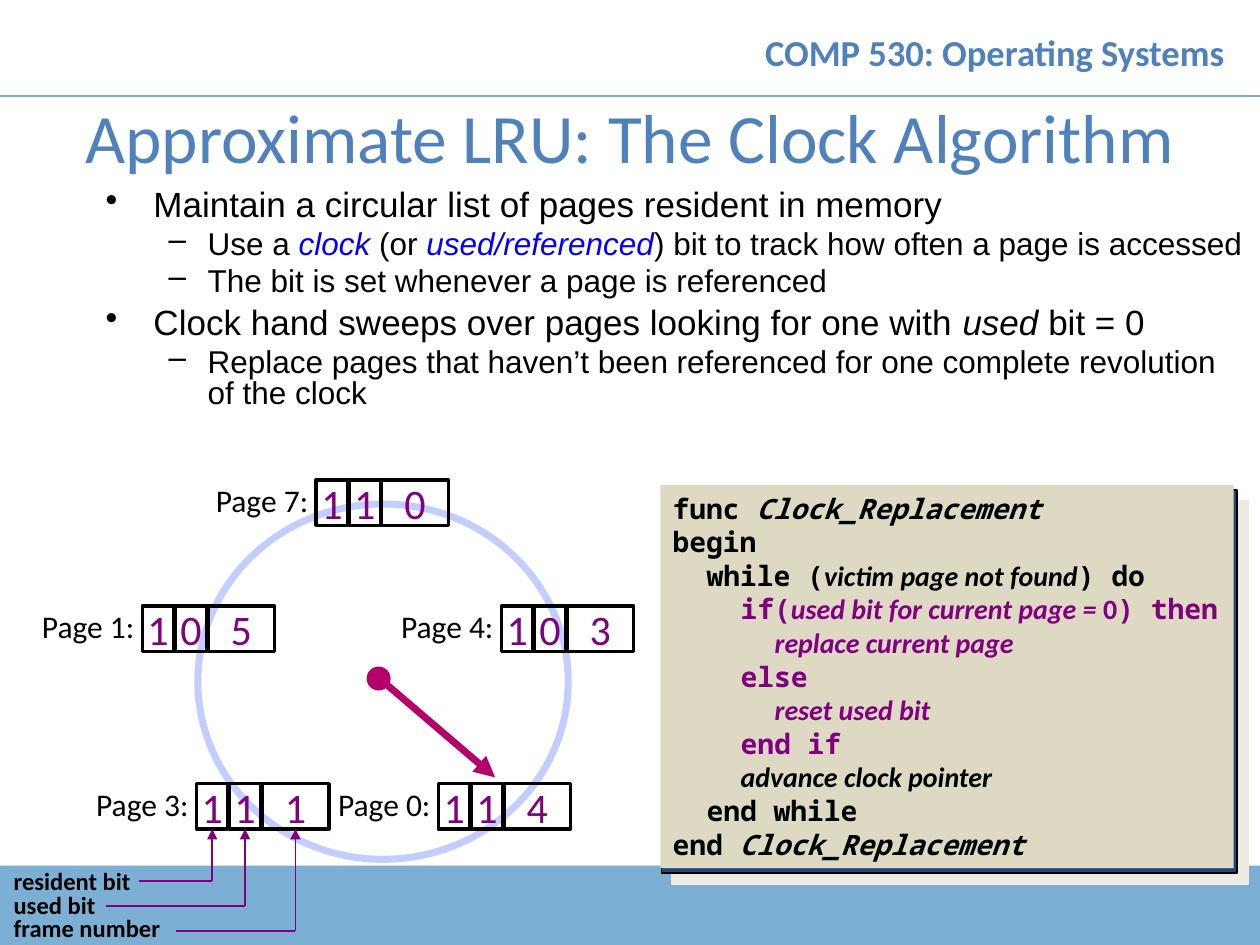
import dataclasses

import pptx
import pptx.dml.color
import pptx.enum.shapes
import pptx.enum.text
import pptx.oxml
import pptx.oxml.ns
import pptx.util

SHAPES = pptx.enum.shapes.MSO_SHAPE
ALIGN = pptx.enum.text.PP_ALIGN
ANCHOR = pptx.enum.text.MSO_ANCHOR
COLUMNS, ROWS = 100, 75
SANS, MONO, BODY = "Calibri", "Noto Sans Mono", "Arial"
BLACK, BLUE, SKY, PURPLE, MAGENTA = "000000", "4F81BD", "7BAFD4", "800080", "B50069"

deck = pptx.Presentation()
deck.slide_width = pptx.util.Inches(10)
deck.slide_height = pptx.util.Inches(7.5)
slide = deck.slides.add_slide(deck.slide_layouts[5])


@dataclasses.dataclass
class Box:
    x: float
    y: float
    w: float
    h: float

    def within(self, dx, dy, w, h):
        return Box(self.x + dx, self.y + dy, w, h)

    def emu(self):
        return (*at(self.x, self.y), *at(self.w, self.h))


def at(column, row):
    return int(deck.slide_width * column / COLUMNS), int(deck.slide_height * row / ROWS)


def rgb(value):
    return pptx.dml.color.RGBColor.from_string(value)


def style(run, size, font, color=BLACK, bold=False, italic=False):
    run.font.size = pptx.util.Pt(size)
    run.font.name = font
    run.font.color.rgb = rgb(color)
    run.font.bold = bold
    run.font.italic = italic


def add_text(paragraph, text, *look, **emphasis):
    run = paragraph.add_run()
    run.text = text
    style(run, *look, **emphasis)


def indent(paragraph, left, hanging=0, bullet=None):
    props = paragraph._p.get_or_add_pPr()
    props.set("marL", str(pptx.util.Inches(left)))
    props.set("indent", str(-pptx.util.Inches(hanging)))
    if bullet:
        mark = pptx.oxml.parse_xml(
            f'<a:buChar {pptx.oxml.ns.nsdecls("a")} char="{bullet}"/>')
        props.append(mark)


def paragraphs(frame, count):
    return [frame.paragraphs[0]] + [frame.add_paragraph() for _ in range(count - 1)]


def text_box(box, wrap=True):
    frame = slide.shapes.add_textbox(*box.emu()).text_frame
    frame.word_wrap = wrap
    return frame


def shape(kind, box, fill=None, line=None, width=1, shadow=None):
    item = slide.shapes.add_shape(kind, *box.emu())
    item.shadow.inherit = False
    if fill:
        item.fill.solid()
        item.fill.fore_color.rgb = rgb(fill)
    else:
        item.fill.background()
    if line:
        item.line.color.rgb = rgb(line)
        item.line.width = pptx.util.Pt(width)
    else:
        item.line.fill.background()
    if shadow:
        color, opacity, blur, distance, angle = shadow
        effects = item._element.spPr.find(pptx.oxml.ns.qn("a:effectLst"))
        effects.append(pptx.oxml.parse_xml(
            f'<a:outerShdw {pptx.oxml.ns.nsdecls("a")} blurRad="{pptx.util.Pt(blur)}" '
            f'dist="{pptx.util.Pt(distance)}" dir="{angle * 60000}" algn="ctr" rotWithShape="0">'
            f'<a:srgbClr val="{color}"><a:alpha val="{opacity * 1000}"/></a:srgbClr>'
            '</a:outerShdw>'))
    return item


def line(start, end, color, width=1, arrow=None):
    item = slide.shapes.add_connector(
        pptx.enum.shapes.MSO_CONNECTOR.STRAIGHT, *at(*start), *at(*end))
    item.line.color.rgb = rgb(color)
    item.line.width = pptx.util.Pt(width)
    if arrow:
        item.line._get_or_add_ln().append(pptx.oxml.parse_xml(
            f'<a:{arrow} {pptx.oxml.ns.nsdecls("a")} type="triangle"/>'))
    item._element.spPr.append(pptx.oxml.parse_xml(
        f'<a:effectLst {pptx.oxml.ns.nsdecls("a")}/>'))
    return item


def course_frame(box):
    shape(SHAPES.RECTANGLE, box.within(0, 68.7, box.w, 6.3), SKY,
          shadow=(BLACK, 35, 3.1, 1.8, 90))
    line((box.x, box.y + 7.6), (box.x + box.w, box.y + 7.6), SKY)
    frame = text_box(box.within(57.9, 1.3, 42.1, 6.3))
    frame.vertical_anchor = ANCHOR.MIDDLE
    course = frame.paragraphs[0]
    course.text = "COMP 530: Operating Systems"
    course.alignment = ALIGN.CENTER
    course.line_spacing = 0.8
    style(course.runs[0], 20.9, SANS, BLUE, bold=True)


def heading(box):
    title = slide.shapes.title
    title.left, title.top, title.width, title.height = box.emu()
    frame = title.text_frame
    frame.text = "Approximate LRU: The Clock Algorithm"
    frame.auto_size = pptx.enum.text.MSO_AUTO_SIZE.NONE
    frame.vertical_anchor = ANCHOR.MIDDLE
    frame.paragraphs[0].alignment = ALIGN.CENTER
    style(frame.paragraphs[0].runs[0], 39.6, SANS, BLUE)


def explanation(box):
    levels = [(20, 0.9, 0.38, 0.38, "•"), (18, 0.8, 0.81, 0.31, "–")]
    term = dict(color="0000FF", italic=True)
    points = [
        (0, [("Maintain a circular list of pages resident in memory", {})]),
        (1, [("Use a ", {}), ("clock", term), (" (or ", {}), ("used/referenced", term),
             (") bit to track how often a page is accessed", {})]),
        (1, [("The bit is set whenever a page is referenced", {})]),
        (0, [("Clock hand sweeps over pages looking for one with ", {}),
             ("used", dict(italic=True)), (" bit = 0", {})]),
        (1, [("Replace pages that haven’t been referenced for one complete "
              "revolution of the clock", {})]),
    ]
    for point, (level, pieces) in zip(paragraphs(text_box(box), len(points)), points):
        size, spacing, left, hanging, bullet = levels[level]
        point.level = level
        point.line_spacing = spacing
        point.space_before = pptx.util.Pt(size * 0.2)
        indent(point, left, hanging, bullet)
        for text, emphasis in pieces:
            add_text(point, text, size, BODY, **emphasis)


def pseudocode(box):
    code, name = (MONO, False), (MONO, True)
    prose, digit = (SANS, True), (SANS, False)
    steps = [
        (0, BLACK, [("func ", code), ("Clock_Replacement", name)]),
        (0, BLACK, [("begin", code)]),
        (1, BLACK, [("while (", code), ("victim page not found", prose), (") do", code)]),
        (2, PURPLE, [("if(", code), ("used bit for current page = ", prose),
                     ("0", digit), (") then", code)]),
        (3, PURPLE, [("replace current page", prose)]),
        (2, PURPLE, [("else", code)]),
        (3, PURPLE, [("reset used bit", prose)]),
        (2, PURPLE, [("end if", code)]),
        (2, BLACK, [("advance clock pointer", prose)]),
        (1, BLACK, [("end while", code)]),
        (0, BLACK, [("end ", code), ("Clock_Replacement", name)]),
    ]
    shape(SHAPES.RECTANGLE, box.within(0.1, 0.4, 45.7, box.h), "1F497D", BLACK,
          shadow=("EEECE1", 100, 0, 8.5, 45))
    frame = shape(SHAPES.RECTANGLE, box, "DDD9C3").text_frame
    frame.word_wrap = False
    frame.vertical_anchor = ANCHOR.TOP
    for step, (depth, color, pieces) in zip(paragraphs(frame, len(steps)), steps):
        step.alignment = ALIGN.LEFT
        indent(step, depth * 0.27)
        for text, (font, italic) in pieces:
            add_text(step, text, 16, font, color, bold=True, italic=italic)


def page_entry(box, page, values):
    frame = text_box(box.within(0, 0, 9.4, 4), wrap=False)
    frame.text = f"Page {page}:"
    frame.paragraphs[0].alignment = ALIGN.CENTER
    style(frame.paragraphs[0].runs[0], 18, SANS)
    cells = []
    for index, (value, width) in enumerate(zip(values, (2.5, 2.5, 5.3))):
        cell = shape(SHAPES.RECTANGLE, box.within(9 + 2.6 * index, 0.4, width, 3.6),
                     line=BLACK, width=2)
        cell.text_frame.text = str(value)
        cell.text_frame.word_wrap = False
        cell.text_frame.vertical_anchor = ANCHOR.MIDDLE
        cell.text_frame.paragraphs[0].alignment = ALIGN.CENTER
        style(cell.text_frame.paragraphs[0].runs[0], 24, SANS, PURPLE)
        cells.append(cell)
    return cells


def clock(box):
    shape(SHAPES.OVAL, box.within(13.4, 2.3, 29.4, 28.2), line="C1CEFF", width=4)
    line((box.x + 28, box.y + 16.3), (box.x + 37, box.y + 24), MAGENTA, 4, "tailEnd")
    pages = [(7, 13.8, 0, (1, 1, 0)), (1, 0, 10, (1, 0, 5)), (4, 28.5, 10, (1, 0, 3)),
             (0, 23.5, 24.1, (1, 1, 4)), (3, 4.3, 24.1, (1, 1, 1))]
    entries = {page: page_entry(box.within(dx, dy, 19.5, 4), page, values)
               for page, dx, dy, values in pages}
    shape(SHAPES.OVAL, box.within(26.8, 15.2, 1.9, 1.9), MAGENTA)
    return entries


def legend(box, cells):
    names = [("resident bit", 10.9), ("used bit", 8.3), ("frame number", 13.9)]
    labels = paragraphs(text_box(box, wrap=False), len(names))
    for index, (label, cell, (name, start)) in enumerate(zip(labels, cells, names)):
        label.text = name
        label.line_spacing = 0.8
        style(label.runs[0], 14, SANS, bold=True)
        column = (cell.left + cell.width / 2) / deck.slide_width * COLUMNS
        row = box.y + 1.2 + 2 * index
        pointer = line((column, box.y - 3), (column, row), PURPLE, arrow="headEnd")
        pointer.begin_connect(cell, 2)
        line((box.x + start, row), (column, row), PURPLE)


course_frame(Box(0, 0, COLUMNS, ROWS))
heading(Box(0, 7.6, COLUMNS, 6.3))
explanation(Box(7.4, 14.4, 92.6, 23.9))
pseudocode(Box(52.4, 38.5, 45.5, 30.4))
entries = clock(Box(2.3, 37.7, 48, 30.5))
legend(Box(0.1, 68.7, 13.7, 6.6), entries[3])
deck.save("out.pptx")
